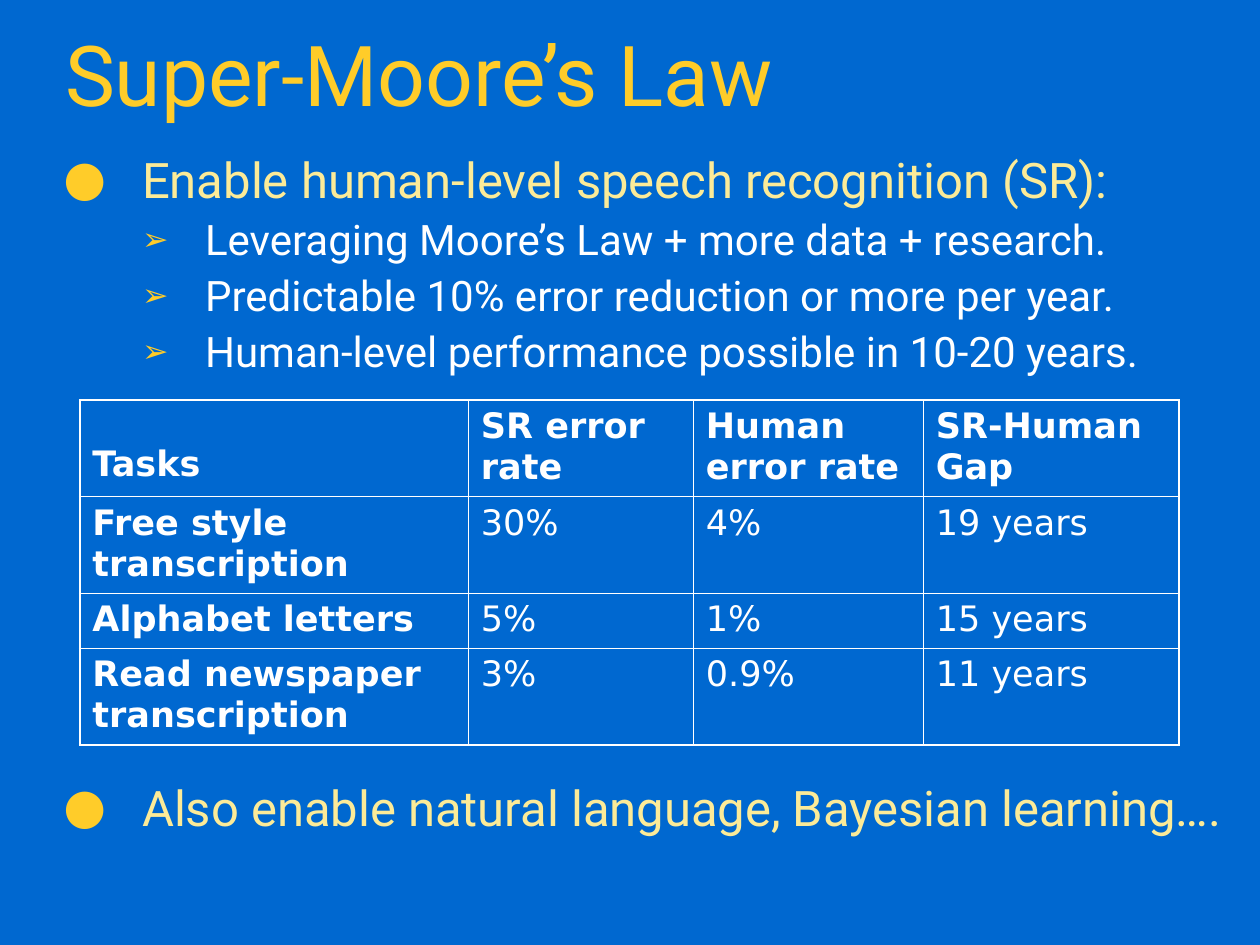
from lxml.etree import SubElement
from pptx import Presentation
from pptx.dml.color import RGBColor
from pptx.enum.text import MSO_ANCHOR as Anchor, MSO_AUTO_SIZE as AutoSize, PP_ALIGN as Align
from pptx.oxml import parse_xml
from pptx.oxml.ns import nsdecls, qn
from pptx.util import Pt

BLUE, GOLD, CREAM, WHITE = "0068D0", "FFCC29", "FCEB98", "FFFFFF"

LEVELS = [
    {"size": 28, "color": CREAM, "before": 8.8, "left": 45, "hang": 45,
     "bullet": "●", "bullet_font": "Roboto", "percent": 100},
    {"size": 24, "color": WHITE, "before": 7.5, "left": 81, "hang": 36,
     "bullet": "➢", "bullet_font": "DejaVu Sans", "percent": 75},
]
TABLE_GAP = 234  # space before the last bullet, which leaves room for the table
BULLETS = [
    (0, "Enable human-level speech recognition (SR):", None),
    (1, "Leveraging Moore’s Law + more data + research.", None),
    (1, "Predictable 10% error reduction or more per year.", None),
    (1, "Human-level performance possible in 10-20 years.", None),
    (0, "Also enable natural language, Bayesian learning….", TABLE_GAP),
]
ERROR_RATES = [
    ["Tasks", "SR error rate", "Human error rate", "SR-Human Gap"],
    ["Free style transcription", "30%", "4%", "19 years"],
    ["Alphabet letters", "5%", "1%", "15 years"],
    ["Read newspaper transcription", "3%", "0.9%", "11 years"],
]
COLUMN_WIDTHS = [222, 128.6, 131.4, 146.3]
ROW_HEIGHTS = [55.4, 55, 31.4, 55.6]


def rgb(color):
    return RGBColor.from_string(color)


def set_all(target, values):
    for name, value in values.items():
        setattr(target, name, value)


class SlideBuilder:
    font = "Roboto"
    table_font = "DejaVu Sans"
    outer_line, inner_line = 1.08, 0.45

    def __init__(self, presentation):
        self.slide = presentation.slides.add_slide(presentation.slide_layouts[1])
        fill = self.slide.background.fill
        fill.solid()
        fill.fore_color.rgb = rgb(BLUE)

    def place(self, shape, left, top, width, height):
        set_all(shape, {"left": Pt(left), "top": Pt(top),
                        "width": Pt(width), "height": Pt(height)})
        set_all(shape.text_frame, {"word_wrap": True, "auto_size": AutoSize.NONE,
                                   "vertical_anchor": Anchor.TOP})
        return shape.text_frame

    def add_text(self, paragraph, text, size, color, font=None, bold=False):
        run = paragraph.add_run()
        run.text = text
        set_all(run.font, {"name": font or self.font, "size": Pt(size), "bold": bold})
        run.font.color.rgb = rgb(color)

    def title(self, text, *box):
        paragraph = self.place(self.slide.shapes.title, *box).paragraphs[0]
        set_all(paragraph, {"alignment": Align.LEFT, "line_spacing": 0.85})
        self.add_text(paragraph, text, 48, GOLD)

    def bullets(self, items, *box):
        frame = self.place(self.slide.placeholders[1], *box)
        for index, (level, text, gap) in enumerate(items):
            paragraph = frame.add_paragraph() if index else frame.paragraphs[0]
            style = LEVELS[level]
            set_all(paragraph, {"level": level, "line_spacing": 0.85,
                                "space_before": Pt(gap or style["before"])})
            self.bullet(paragraph, style)
            self.add_text(paragraph, text, style["size"], style["color"])

    def bullet(self, paragraph, style):
        properties = paragraph._p.get_or_add_pPr()
        properties.set("marL", str(Pt(style["left"])))
        properties.set("indent", str(-Pt(style["hang"])))
        color = SubElement(properties, qn("a:buClr"))
        SubElement(color, qn("a:srgbClr"), val=GOLD)
        SubElement(properties, qn("a:buSzPct"), val=str(style["percent"] * 1000))
        SubElement(properties, qn("a:buFont"), typeface=style["bullet_font"])
        SubElement(properties, qn("a:buChar"), char=style["bullet"])

    def table(self, rows, widths, heights, left, top):
        row_count, column_count = len(rows), len(widths)
        table = self.slide.shapes.add_table(
            row_count, column_count, Pt(left), Pt(top),
            Pt(sum(widths)), Pt(sum(heights))).table
        set_all(table, {"first_row": False, "horz_banding": False})
        for column, width in zip(table.columns, widths):
            column.width = Pt(width)
        for r, (row, height) in enumerate(zip(rows, heights)):
            table.rows[r].height = Pt(height)
            for c, text in enumerate(row):
                cell = table.cell(r, c)
                cell.fill.background()
                paragraph = cell.text_frame.paragraphs[0]
                is_rate = r > 0 and c in (1, 2)
                paragraph.alignment = Align.JUSTIFY if is_rate else Align.LEFT
                self.add_text(paragraph, text, 20, WHITE, self.table_font, r == 0 or c == 0)
                self.borders(cell, {"L": c == 0, "R": c == column_count - 1,
                                    "T": r == 0, "B": r == row_count - 1})
        set_all(table.cell(0, 0), {"vertical_anchor": Anchor.BOTTOM, "margin_bottom": Pt(7)})

    def borders(self, cell, outer_sides):
        properties = cell._tc.get_or_add_tcPr()
        for index, (side, is_outer) in enumerate(outer_sides.items()):
            width = Pt(self.outer_line if is_outer else self.inner_line)
            properties.insert(index, parse_xml(
                f'<a:ln{side} {nsdecls("a")} w="{width}"><a:solidFill>'
                f'<a:srgbClr val="{WHITE}"/></a:solidFill></a:ln{side}>'))


def main():
    presentation = Presentation()
    set_all(presentation, {"slide_width": Pt(720), "slide_height": Pt(540)})
    builder = SlideBuilder(presentation)
    builder.title("Super-Moore’s Law", 30, 18, 661, 56)
    builder.bullets(BULLETS, 29, 87, 690, 422)
    builder.table(ERROR_RATES, COLUMN_WIDTHS, ROW_HEIGHTS, 45.6, 228.5)
    presentation.save("out.pptx")


if __name__ == "__main__":
    main()
